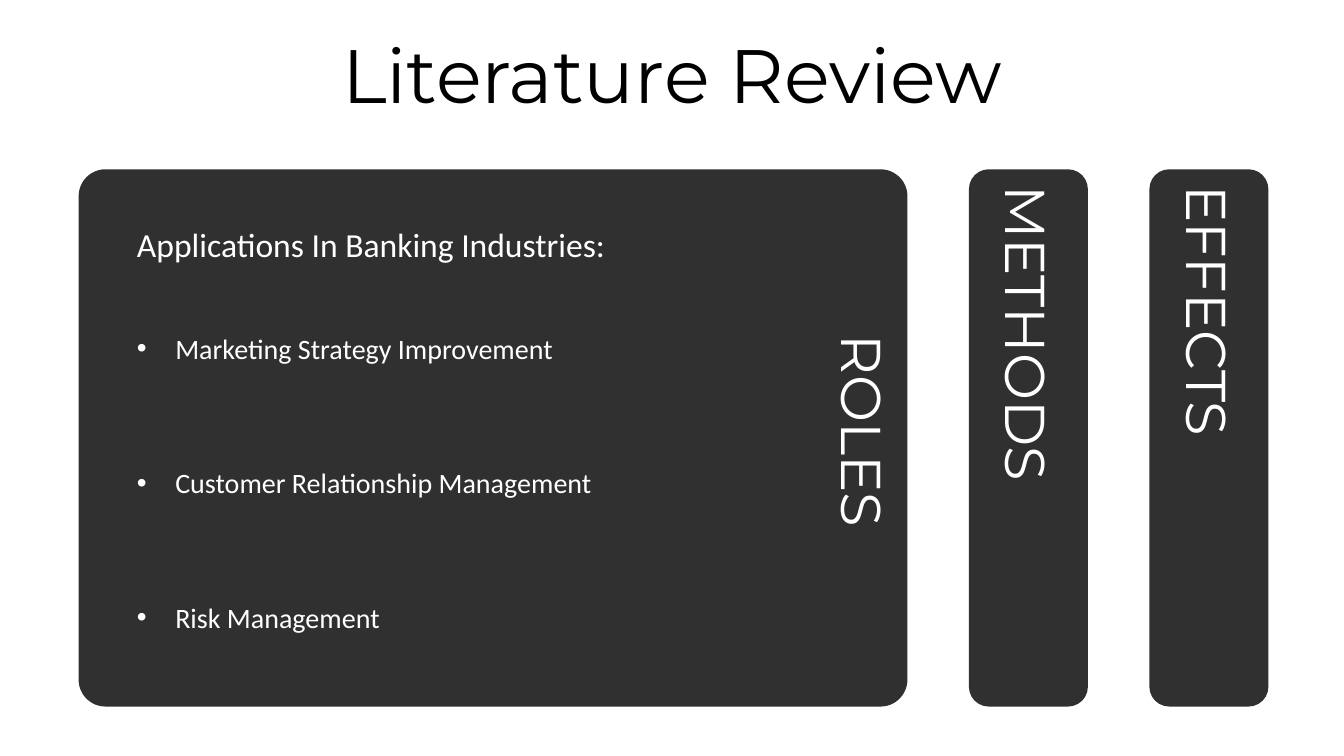
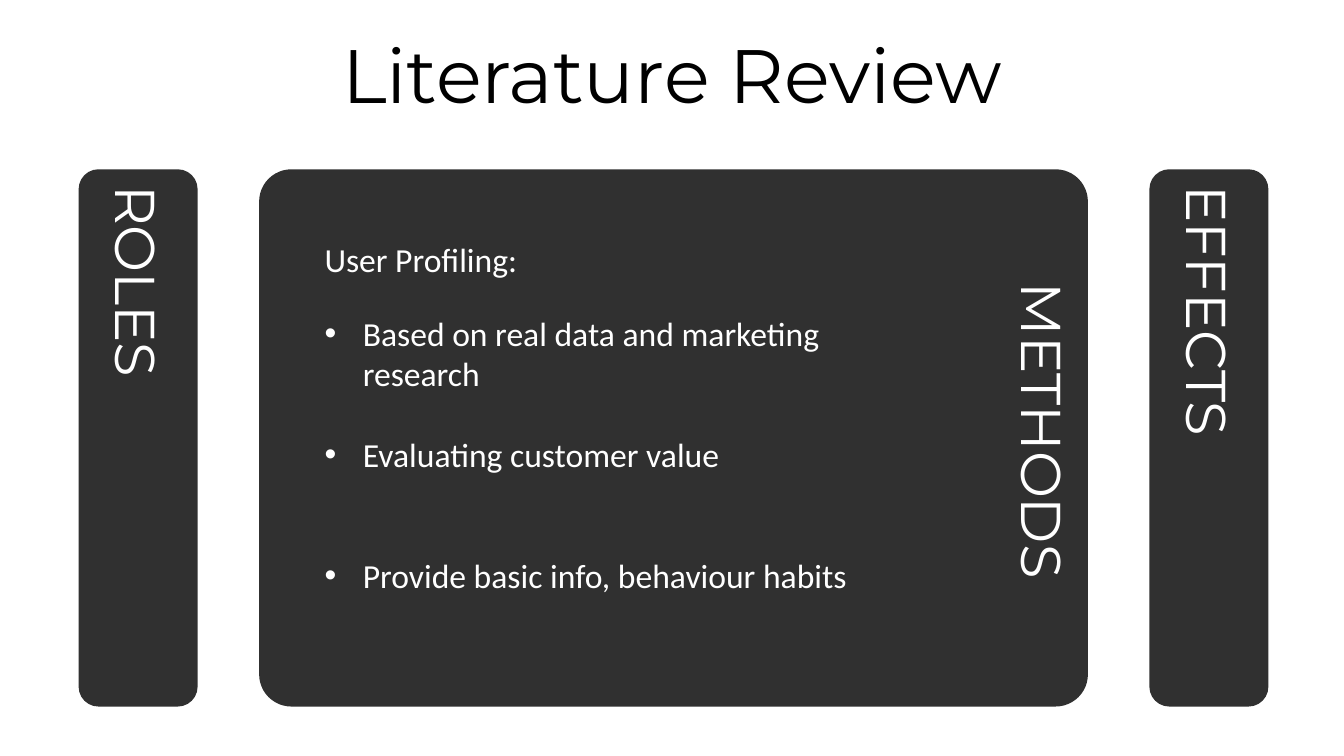
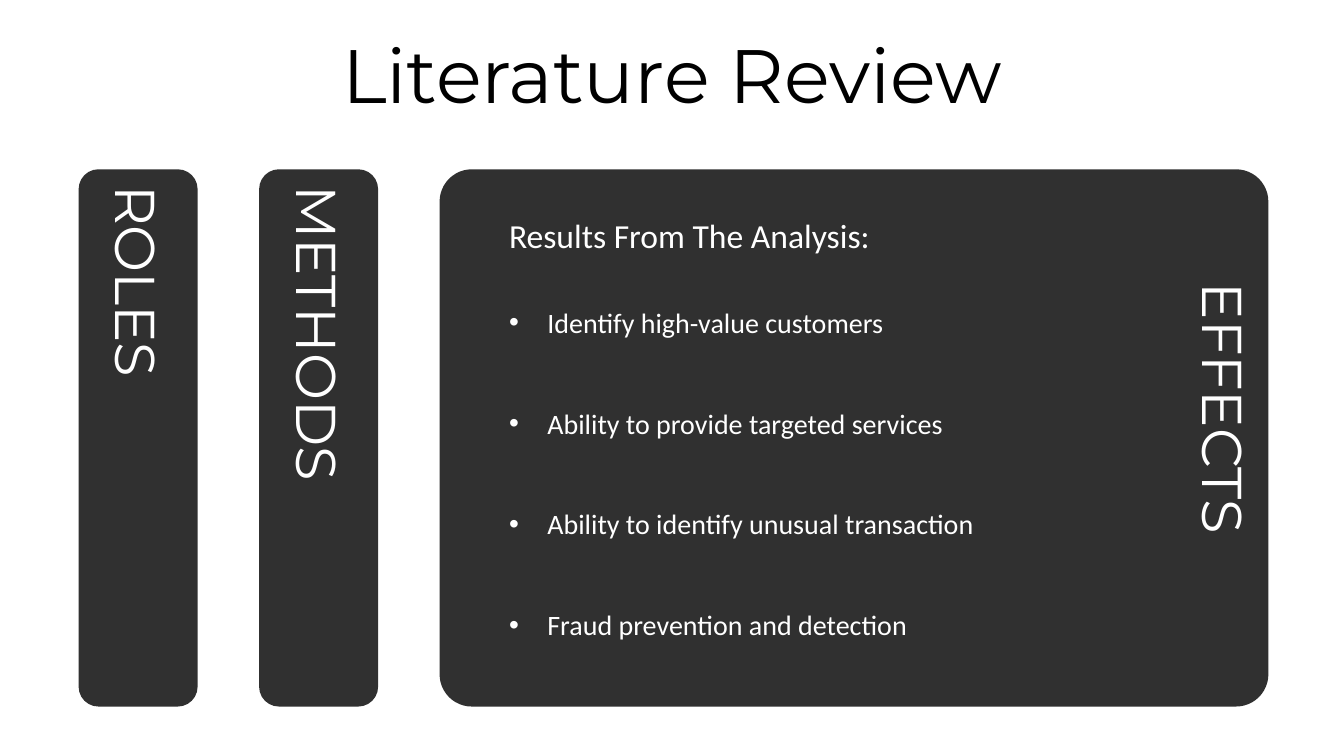
"""Build three literature review slides, each opening one panel of a three-part accordion."""
from dataclasses import dataclass

from lxml import etree
from pptx import Presentation
from pptx.dml.color import RGBColor
from pptx.enum.shapes import MSO_SHAPE
from pptx.enum.text import MSO_AUTO_SIZE, PP_ALIGN
from pptx.oxml.ns import qn
from pptx.util import Inches, Pt

ROUNDED = MSO_SHAPE.ROUNDED_RECTANGLE
CENTER, LEFT = PP_ALIGN.CENTER, PP_ALIGN.LEFT
GROW = MSO_AUTO_SIZE.SHAPE_TO_FIT_TEXT


@dataclass(frozen=True)
class Theme:
    """Colours, fonts and type sizes of the deck."""
    ink: RGBColor = RGBColor(0, 0, 0)
    panel: RGBColor = RGBColor(0x30, 0x30, 0x30)
    light: RGBColor = RGBColor(0xFF, 0xFF, 0xFF)
    display: str = "Montserrat"
    body: str = "Calibri"
    title_size: int = 54
    label_size: int = 40
    heading_size: int = 24


THEME = Theme()
TITLE = "Literature Review"
SECTIONS = ["ROLES", "METHODS", "EFFECTS"]

REVIEWS = [
    {
        "heading": "Applications In Banking Industries:",
        "points": [
            ("Marketing Strategy Improvement", 48),
            ("Customer Relationship Management", 72),
            ("Risk Management", 72),
        ],
        "point_size": 20, "corner": 0.05, "label_height": 2.24,
        "body_inset": 0.48, "body_top": 2.17, "body_height": 4.11,
    },
    {
        "heading": "User Profiling:",
        "points": [
            ("Based on real data and marketing research", 24),
            ("Evaluating customer value", 28.8),
            ("Provide basic info, behaviour habits", 57.6),
        ],
        "point_size": 24, "corner": 0.06, "label_height": 3.28,
        "body_inset": 0.55, "body_top": 2.32, "body_height": 3.67,
    },
    {
        "heading": "Results From The Analysis:",
        "points": [
            ("Identify high-value customers", 36),
            ("Ability to provide targeted services", 48),
            ("Ability to identify unusual transaction", 48),
            ("Fraud prevention and detection", 48),
        ],
        "point_size": 20, "corner": 0.06, "label_height": 3.28,
        "body_inset": 0.59, "body_top": 2.08, "body_height": 4.32,
    },
]

SLIDE_W, SLIDE_H = 13.33, 7.5
TITLE_W, TITLE_TOP, TITLE_H = 7.8, 0.23, 1.01
PANEL_LEFT, PANEL_TOP, PANEL_H, PANEL_GAP = 0.78, 1.68, 5.33, 0.61
CLOSED_W, OPEN_W = 1.18, 8.22
LABEL_W, LABEL_MARGIN = 0.88, 0.05
BODY_W, BULLET_INDENT = 5.38, 0.38


def write(paragraph, text, size, font, color, align):
    paragraph.text = text
    paragraph.alignment = align
    run = paragraph.runs[0]
    run.font.size = Pt(size)
    run.font.name = font
    run.font.color.rgb = color


def add_text_box(slide, left, top, width, height):
    frame = slide.shapes.add_textbox(*map(Inches, (left, top, width, height))).text_frame
    frame.word_wrap = True
    frame.auto_size = GROW
    return frame


def write_label(frame, label):
    frame._txBody.bodyPr.set("vert", "eaVert")
    write(frame.paragraphs[0], label, THEME.label_size, THEME.display, THEME.light, CENTER)


def add_bullet(paragraph):
    properties = paragraph._p.get_or_add_pPr()
    properties.set("marL", str(Inches(BULLET_INDENT)))
    properties.set("indent", str(-Inches(BULLET_INDENT)))
    etree.SubElement(properties, qn("a:buFont")).set("typeface", "Arial")
    etree.SubElement(properties, qn("a:buChar")).set("char", "•")


def add_panel(slide, left, width):
    panel = slide.shapes.add_shape(ROUNDED, *map(Inches, (left, PANEL_TOP, width, PANEL_H)))
    panel.shadow.inherit = False
    panel.fill.solid()
    panel.fill.fore_color.rgb = THEME.panel
    panel.line.fill.background()
    return panel


def add_open_panel(slide, left, label, review):
    add_panel(slide, left, OPEN_W).adjustments[0] = review["corner"]
    label_height = review["label_height"]
    label_left = left + OPEN_W - LABEL_W - LABEL_MARGIN
    label_top = PANEL_TOP + (PANEL_H - label_height) / 2
    write_label(add_text_box(slide, label_left, label_top, LABEL_W, label_height), label)

    body = add_text_box(slide, left + review["body_inset"], review["body_top"],
                        BODY_W, review["body_height"])
    write(body.paragraphs[0], review["heading"], THEME.heading_size,
          THEME.body, THEME.light, LEFT)
    for point, gap in review["points"]:
        paragraph = body.add_paragraph()
        write(paragraph, point, review["point_size"], THEME.body, THEME.light, LEFT)
        paragraph.space_before = Pt(gap)
        add_bullet(paragraph)


def add_review_slide(deck, open_index, review):
    slide = deck.slides.add_slide(deck.slide_layouts[6])
    title = add_text_box(slide, (SLIDE_W - TITLE_W) / 2, TITLE_TOP, TITLE_W, TITLE_H)
    write(title.paragraphs[0], TITLE, THEME.title_size, THEME.display, THEME.ink, CENTER)
    left = PANEL_LEFT
    for index, section in enumerate(SECTIONS):
        if index == open_index:
            add_open_panel(slide, left, section, review)
            left += OPEN_W + PANEL_GAP
        else:
            write_label(add_panel(slide, left, CLOSED_W).text_frame, section)
            left += CLOSED_W + PANEL_GAP


def main():
    deck = Presentation()
    deck.slide_width, deck.slide_height = Inches(SLIDE_W), Inches(SLIDE_H)
    for open_index, review in enumerate(REVIEWS):
        add_review_slide(deck, open_index, review)
    deck.save("out.pptx")


if __name__ == "__main__":
    main()
